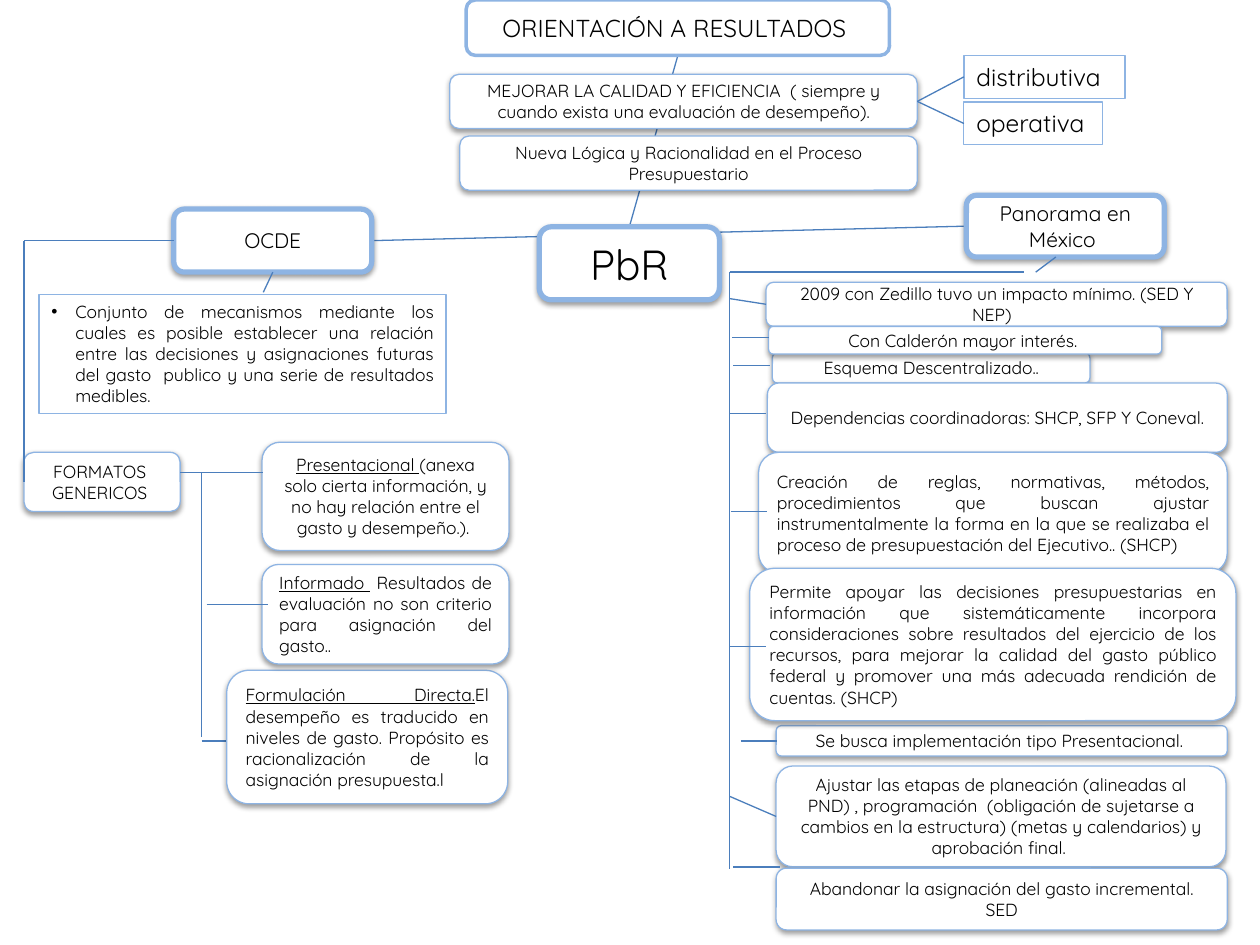
from dataclasses import dataclass

import pptx
import pptx.dml.color
import pptx.enum.shapes
import pptx.enum.text
import pptx.oxml
import pptx.oxml.ns
import pptx.util

Inches = pptx.util.Inches
Pt = pptx.util.Pt
ALIGN = pptx.enum.text.PP_ALIGN
ANCHOR = pptx.enum.text.MSO_ANCHOR
PRESET = pptx.enum.shapes.MSO_SHAPE

FONT = "Quicksand"
WHITE, BLACK, BORDER, LINK = "FFFFFF", "000000", "8EB4E3", "4B7EBC"
TOP, LEFT, BOTTOM, RIGHT = range(4)
SHADOW = (
    f'<a:effectLst {pptx.oxml.ns.nsdecls("a")}>'
    f'<a:outerShdw blurRad="{Pt(3.1)}" dist="{Pt(1.6)}" dir="5400000" rotWithShape="0">'
    f'<a:srgbClr val="{BLACK}"><a:alpha val="38000"/></a:srgbClr>'
    '</a:outerShdw></a:effectLst>'
)


@dataclass
class Box:
    key: str
    left: float
    top: float
    width: float
    height: float
    text: str
    heading: str = ""  # underlined words before the text
    size: float = 10
    border: float = 0.75
    align: ALIGN = ALIGN.CENTER
    shadow: bool = True
    rounded: bool = True
    wrap: bool = True
    bullet: bool = False


@dataclass
class Link:
    start: tuple[float, float]
    end: tuple[float, float]
    start_joint: tuple[str, int] | None = None  # box key and side
    end_joint: tuple[str, int] | None = None


def color(value: str) -> pptx.dml.color.RGBColor:
    return pptx.dml.color.RGBColor.from_string(value)


def add_run(paragraph, text: str, size: float, underline: bool) -> None:
    run = paragraph.add_run()
    run.text = text
    formats = {"name": FONT, "size": Pt(size), "underline": underline}
    for attribute, value in formats.items():
        setattr(run.font, attribute, value)
    run.font.color.rgb = color(BLACK)


def add_bullet(paragraph) -> None:
    properties = paragraph._p.get_or_add_pPr()
    properties.set("marL", str(Inches(0.19)))
    properties.set("indent", str(-Inches(0.19)))
    properties.append(pptx.oxml.parse_xml(
        f'<a:buFont {pptx.oxml.ns.nsdecls("a")} typeface="Arial"/>'))
    properties.append(pptx.oxml.parse_xml(
        f'<a:buChar {pptx.oxml.ns.nsdecls("a")} char="•"/>'))


def draw_box(slide, box: Box):
    preset = PRESET.ROUNDED_RECTANGLE if box.rounded else PRESET.RECTANGLE
    shape = slide.shapes.add_shape(
        preset, Inches(box.left), Inches(box.top), Inches(box.width), Inches(box.height))
    shape.fill.solid()
    shape.fill.fore_color.rgb = color(WHITE)
    shape.line.color.rgb = color(BORDER)
    shape.line.width = Pt(box.border)
    shape.shadow.inherit = False
    if box.shadow:
        properties = shape._element.spPr
        properties.remove(properties.find(pptx.oxml.ns.qn("a:effectLst")))
        properties.append(pptx.oxml.parse_xml(SHADOW))

    auto_size = pptx.enum.text.MSO_AUTO_SIZE
    formats = {
        "word_wrap": box.wrap,
        "vertical_anchor": ANCHOR.MIDDLE if box.rounded else ANCHOR.TOP,
        "auto_size": auto_size.NONE if box.rounded else auto_size.SHAPE_TO_FIT_TEXT,
    }
    frame = shape.text_frame
    for attribute, value in formats.items():
        setattr(frame, attribute, value)
    for index, line in enumerate(box.text.split("\n")):
        paragraph = frame.add_paragraph() if index else frame.paragraphs[0]
        paragraph.alignment = box.align
        if box.bullet:
            add_bullet(paragraph)
        if box.heading:
            add_run(paragraph, box.heading, box.size, True)
        add_run(paragraph, line, box.size, False)
    return shape


def draw_link(slide, link: Link):
    connector = slide.shapes.add_connector(
        pptx.enum.shapes.MSO_CONNECTOR.STRAIGHT,
        *(Inches(value) for value in link.start + link.end))
    connector.line.color.rgb = color(LINK)
    connector.line.width = Pt(0.75)
    connector._element.spPr.append(
        pptx.oxml.parse_xml(f'<a:effectLst {pptx.oxml.ns.nsdecls("a")}/>'))
    return connector


def join(connector, link: Link, shapes: dict) -> None:
    if link.start_joint:
        key, side = link.start_joint
        connector.begin_connect(shapes[key], side)
    if link.end_joint:
        key, side = link.end_joint
        connector.end_connect(shapes[key], side)


# Links that run behind the boxes
BACK_LINKS = [
    Link((1.6, 5.88), (2.09, 5.88)),
    Link((2.95, 1.91), (7.67, 1.8), ("OCDE", RIGHT), ("Panorama", LEFT)),
    Link((5.39, 0.44), (5, 1.8), ("Orientación", BOTTOM), ("PbR", TOP)),
]

# Boxes, from back to front
JUSTIFY = ALIGN.JUSTIFY
PLAIN = {"rounded": False, "shadow": False}
QUALITY = {**PLAIN, "size": 14, "align": ALIGN.LEFT, "wrap": False}
TOPIC = {"size": 12, "border": 3}
BOXES = [
    Box("Orientación", 3.7, 0, 3.36, 0.44, "ORIENTACIÓN A RESULTADOS ",
        size=14, border=2, shadow=False),
    Box("Formulación", 1.8, 5.32, 2.23, 1.06,
        "El desempeño es traducido en niveles de gasto. Propósito es "
        "racionalización de la asignación presupuesta.l",
        heading="Formulación Directa.", align=JUSTIFY),
    Box("Distributiva", 7.65, 0.44, 1.28, 0.34, "distributiva", **QUALITY),
    Box("Operativa", 7.65, 0.81, 1.1, 0.34, "operativa", **QUALITY),
    Box("Calidad", 3.57, 0.59, 3.71, 0.43,
        "MEJORAR LA CALIDAD Y EFICIENCIA  ( siempre y cuando exista una "
        "evaluación de desempeño)."),
    Box("OCDE", 1.38, 1.66, 1.57, 0.5, "OCDE", **TOPIC),
    Box("Mecanismos", 0.31, 2.34, 3.23, 0.94,
        "Conjunto de mecanismos mediante los cuales es posible establecer una "
        "relación entre las decisiones y asignaciones futuras del gasto  publico "
        "y una serie de resultados medibles. ", align=JUSTIFY, bullet=True, **PLAIN),
    Box("PbR", 4.28, 1.8, 1.43, 0.58, "PbR", size=24, border=3),
    Box("Presentacional", 2.08, 3.51, 1.96, 0.86,
        "(anexa solo cierta información, y no hay relación entre el gasto y "
        "desempeño.). ", heading="Presentacional "),
    Box("Informado", 2.08, 4.48, 1.96, 0.79,
        " Resultados de evaluación no son criterio para asignación del gasto..",
        heading="Informado ", align=JUSTIFY),
    Box("Lógica", 3.65, 1.08, 3.63, 0.43,
        "Nueva Lógica y Racionalidad en el Proceso Presupuestario"),
    Box("Esquema", 6.13, 2.8, 2.52, 0.24, "Esquema Descentralizado.."),
    Box("Dependencias", 6.09, 3.04, 3.65, 0.55,
        "Dependencias coordinadoras: SHCP, SFP Y Coneval."),
    Box("Formatos", 0.19, 3.59, 1.24, 0.47, "FORMATOS \nGENERICOS "),
    Box("Panorama", 7.67, 1.55, 1.57, 0.49, "Panorama en México ", **TOPIC),
    Box("Implementación", 6.16, 5.76, 3.58, 0.24,
        "Se busca implementación tipo Presentacional. "),
    Box("Etapas", 6.16, 6.08, 3.57, 0.8,
        "Ajustar las etapas de planeación (alineadas al PND) , programación  "
        "(obligación de sujetarse a cambios en la estructura) (metas y "
        "calendarios) y aprobación final. "),
    Box("Abandono", 6.16, 6.89, 3.58, 0.49,
        "Abandonar la asignación del gasto incremental. SED"),
    Box("Zedillo", 6.08, 2.24, 3.66, 0.35,
        "2009 con Zedillo tuvo un impacto mínimo. (SED Y NEP)  "),
    Box("Calderón", 6.1, 2.59, 3.12, 0.22, "Con Calderón mayor interés. "),
    Box("Reglas", 6.02, 3.59, 3.72, 0.96,
        "Creación de reglas, normativas, métodos, procedimientos que buscan "
        "ajustar instrumentalmente la forma en la que se realizaba el proceso de "
        "presupuestación del Ejecutivo.. (SHCP)", align=JUSTIFY),
    Box("Decisiones", 5.95, 4.51, 3.86, 1.21,
        "Permite apoyar las decisiones presupuestarias en información que "
        "sistemáticamente incorpora consideraciones sobre resultados del "
        "ejercicio de los recursos, para mejorar la calidad del gasto público "
        "federal y promover una más adecuada rendición de cuentas. (SHCP)",
        align=JUSTIFY),
]

# Links in front: Mexico branch, OECD branch, quality fork
MEXICO_TICKS = [(5.81, 2.68), (5.82, 2.9), (5.79, 3.28), (5.8, 4.06), (5.79, 5.13), (5.88, 5.88)]
FRONT_LINKS = [
    Link((5.79, 2.16), (5.79, 6.9)),
    Link((5.79, 2.16), (8.13, 2.16)),
    Link((8.22, 2.16), (8.38, 2.04)),
    Link((5.79, 2.37), (6.08, 2.41), end_joint=("Zedillo", LEFT)),
    *(Link((x, y), (x + 0.29, y)) for x, y in MEXICO_TICKS),
    Link((5.79, 6.32), (6.16, 6.48), end_joint=("Etapas", LEFT)),
    Link((5.82, 6.88), (6.19, 6.88)),
    Link((2.17, 2.16), (2.09, 2.32), start_joint=("OCDE", BOTTOM)),
    Link((1.6, 3.75), (1.6, 5.85)),
    Link((1.43, 3.75), (2.09, 3.75)),
    Link((1.64, 4.8), (2.13, 4.8)),
    Link((1.38, 1.91), (0.19, 1.91), start_joint=("OCDE", LEFT)),
    Link((0.19, 1.91), (0.19, 3.83), end_joint=("Formatos", LEFT)),
    Link((7.28, 0.81), (7.65, 0.61), ("Calidad", RIGHT), ("Distributiva", LEFT)),
    Link((7.28, 0.81), (7.65, 0.98), ("Calidad", RIGHT), ("Operativa", LEFT)),
]


def main() -> None:
    presentation = pptx.Presentation()
    presentation.slide_width, presentation.slide_height = Inches(10), Inches(7.5)
    slide = presentation.slides.add_slide(presentation.slide_layouts[6])
    connectors = [draw_link(slide, link) for link in BACK_LINKS]
    shapes = {box.key: draw_box(slide, box) for box in BOXES}
    connectors += [draw_link(slide, link) for link in FRONT_LINKS]
    for connector, link in zip(connectors, BACK_LINKS + FRONT_LINKS):
        join(connector, link, shapes)
    presentation.save("out.pptx")


if __name__ == "__main__":
    main()
